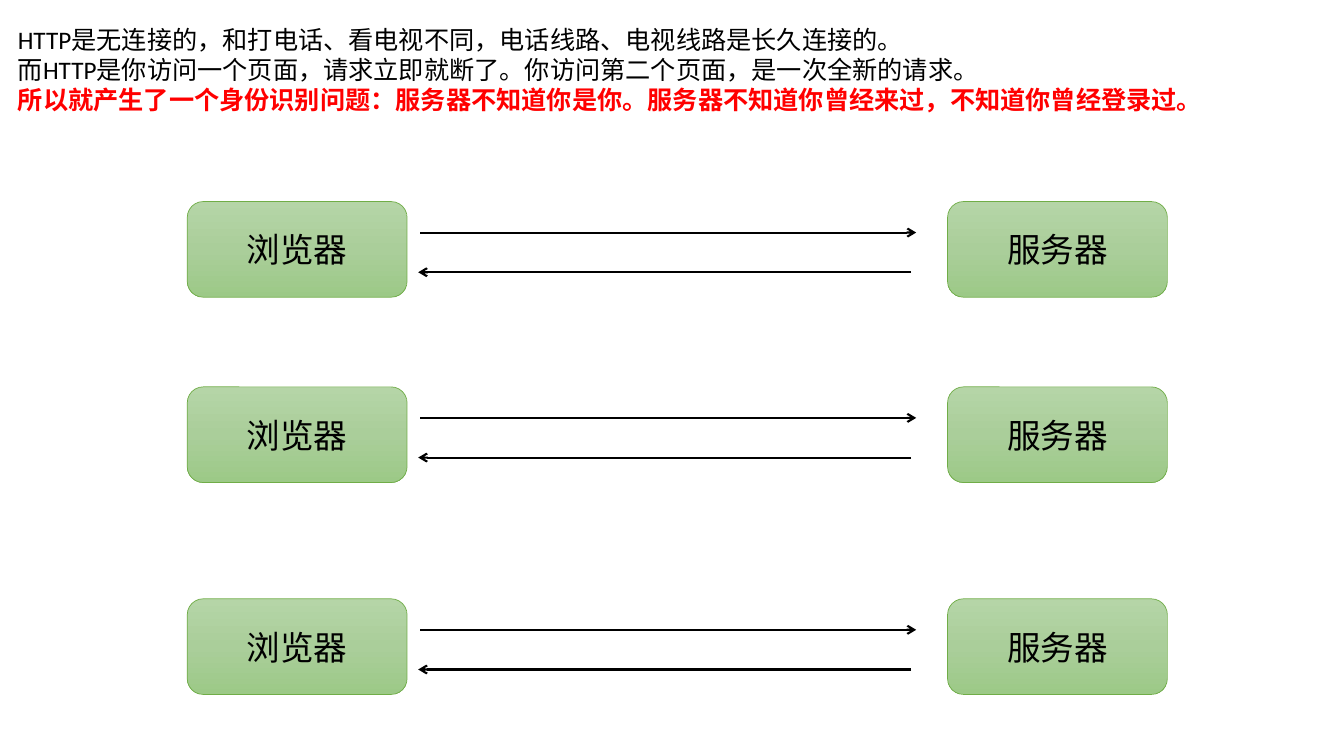
from copy import deepcopy

from pptx import Presentation
from pptx.dml.color import RGBColor
from pptx.enum.shapes import MSO_CONNECTOR as Link, MSO_SHAPE as Form
from pptx.enum.text import MSO_ANCHOR as Anchor, PP_ALIGN as Align
from pptx.oxml.ns import qn
from pptx.oxml.xmlchemy import OxmlElement
from pptx.util import Cm, Pt


def color(code):
    return RGBColor.from_string(code)


def write(para, text, size=18, code="000000", bold=False, align=Align.LEFT):
    para.alignment = align
    run = para.add_run()
    run.text = text
    font = run.font
    font.name, font.size, font.bold = "Calibri", Pt(size), bold
    font.color.rgb = color(code)


deck = Presentation()
deck.slide_width, deck.slide_height = Cm(33.87), Cm(19.05)
slide = deck.slides.add_slide(deck.slide_layouts[6])
shapes = slide.shapes

# Browser and server exchanges, one per row
for top in (5.08, 9.75, 15.09):
    for left, name in ((4.72, "浏览器"), (23.88, "服务器")):
        box = shapes.add_shape(
            Form.ROUNDED_RECTANGLE, Cm(left), Cm(top), Cm(5.54), Cm(2.41))
        box.shadow.inherit = False
        box.line.color.rgb = color("70AD47")
        box.line.width = Pt(0.5)

        # Three-stop green gradient, light at the top
        fill = box.fill
        fill.gradient()
        fill.gradient_angle = 270
        for stop, code in zip(fill.gradient_stops, ("B5D5A7", "9CC987")):
            stop.color.rgb = color(code)
        first = box.element.spPr.find(".//" + qn("a:gs"))
        mid = deepcopy(first)
        mid.set("pos", "50000")
        mid.find(qn("a:srgbClr")).set("val", "AACE9A")
        first.addnext(mid)

        frame = box.text_frame
        frame.vertical_anchor = Anchor.MIDDLE
        write(frame.paragraphs[0], name, size=24, align=Align.CENTER)

    # Request goes right, response goes left
    for start, end, drop in ((10.59, 23.09, 0.78), (22.96, 10.54, 1.78)):
        y = Cm(top + drop)
        arrow = shapes.add_connector(
            Link.STRAIGHT, Cm(start), y, Cm(end), y)
        arrow.line.color.rgb = color("000000")
        arrow.line.width = Pt(1.5)
        tip = OxmlElement("a:tailEnd")
        tip.set("type", "arrow")
        arrow.line._get_or_add_ln().append(tip)
        arrow.element.spPr.append(OxmlElement("a:effectLst"))

# Explanation above the diagram
note = shapes.add_textbox(Cm(0.2), Cm(0.48), Cm(31.95), Cm(2.57))
frame = note.text_frame
frame.word_wrap = True
lines = (
    ("HTTP是无连接的，和打电话、看电视不同，电话线路、电视线路是长久连接的。", {}),
    ("而HTTP是你访问一个页面，请求立即就断了。你访问第二个页面，是一次全新的请求。", {}),
    ("所以就产生了一个身份识别问题：服务器不知道你是你。服务器不知道你曾经来过，不知道你曾经登录过。",
     {"code": "FF0000", "bold": True}),
)
for i, (text, style) in enumerate(lines):
    para = frame.add_paragraph() if i else frame.paragraphs[0]
    write(para, text, **style)

deck.save("out.pptx")
